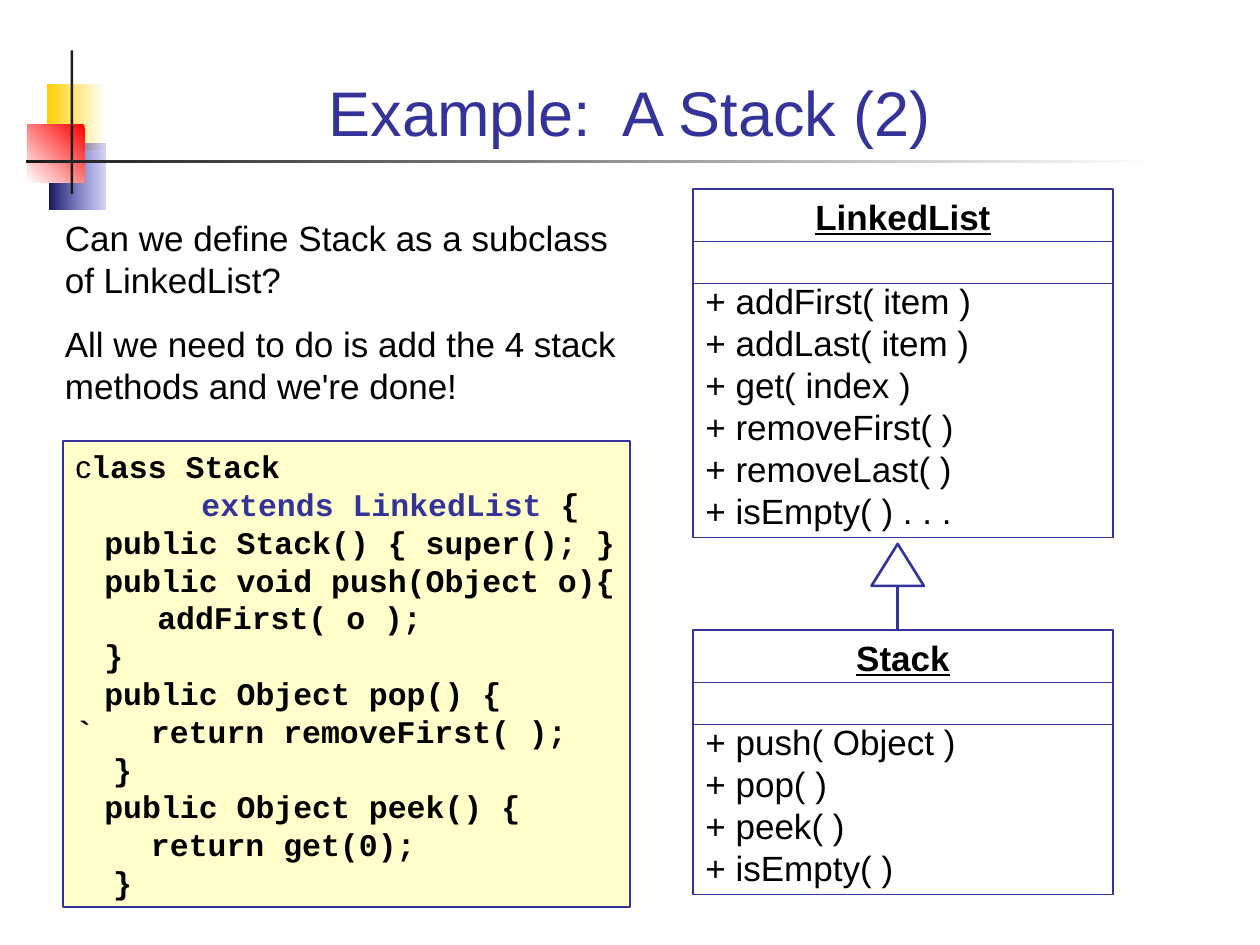
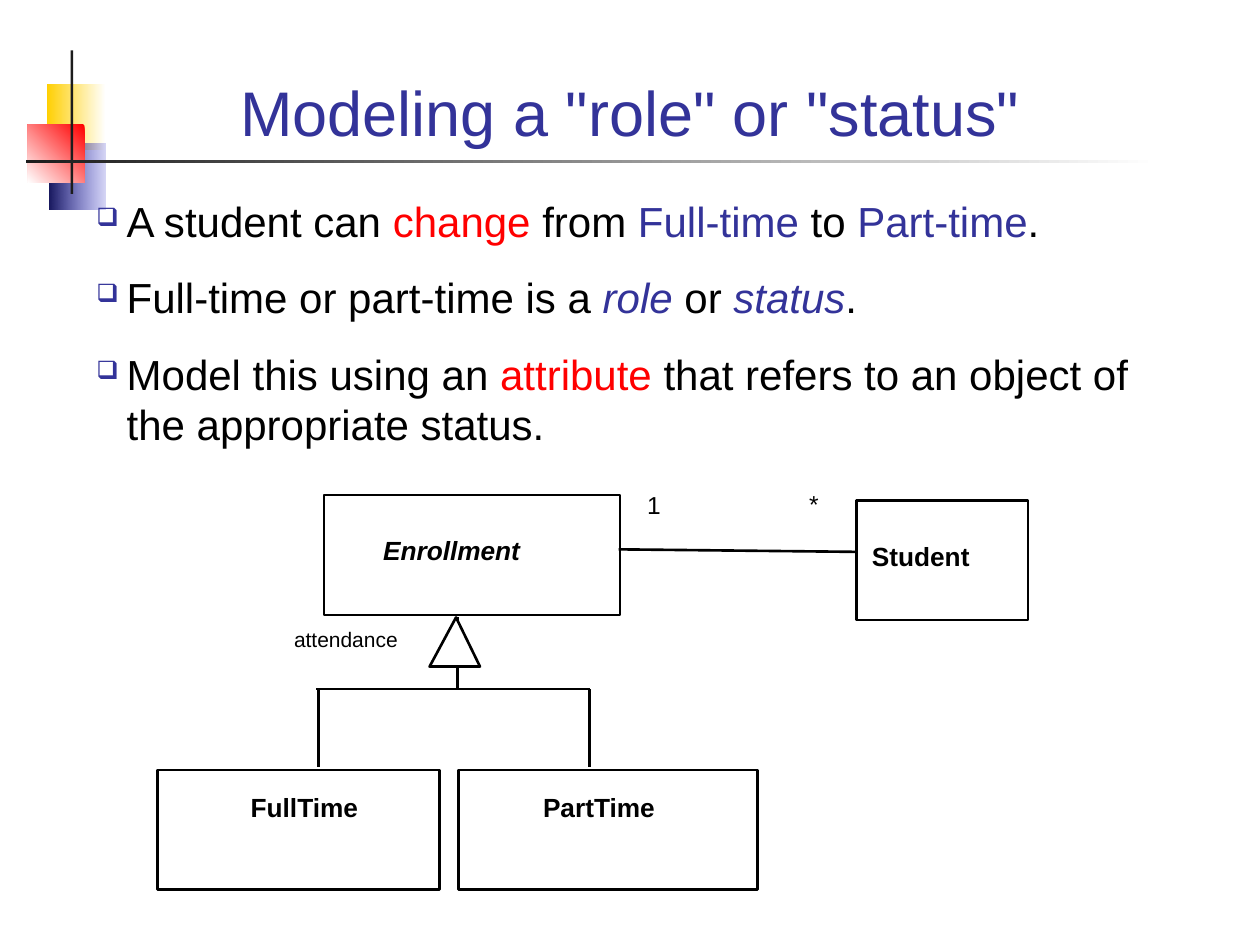
from dataclasses import dataclass
from typing import Any, Optional, Sequence

import lxml.etree
import pptx
import pptx.dml.color
import pptx.enum.shapes
import pptx.enum.text
import pptx.oxml.ns
import pptx.util

# Grid: 120 columns by 90 rows of square cells on a 10 x 7.5 inch slide
COLUMNS, ROWS = 120, 90
CELL = pptx.util.Inches(10) / COLUMNS

INDIGO, BLACK, WHITE, RED = "333399", "000000", "FFFFFF", "FF0000"
INK, GOLD, NAVY, BLUE, CREAM = "1C1C1C", "FFCF01", "17175E", "3333CC", "FFFFCC"
SANS, MONO = "Arial", "Courier New"
LEADING = 1.2

RECTANGLE = pptx.enum.shapes.MSO_SHAPE.RECTANGLE
TRIANGLE = pptx.enum.shapes.MSO_SHAPE.ISOSCELES_TRIANGLE
CENTER = pptx.enum.text.PP_ALIGN.CENTER


@dataclass(frozen=True)
class Area:
    left: float
    top: float
    width: float
    height: float


@dataclass(frozen=True)
class Span:
    text: str
    color: Optional[str] = None
    italic: Optional[bool] = None
    bold: Optional[bool] = None
    font: Optional[str] = None


@dataclass(frozen=True)
class Style:
    size: float
    font: str = SANS
    color: str = BLACK
    bold: bool = False
    italic: bool = False
    underline: bool = False
    centered: bool = False
    space_before: float = 0
    bullet: Optional[str] = None
    tabs: tuple[float, ...] = ()


@dataclass(frozen=True)
class Gradient:
    start: str
    end: str
    angle: int
    start_alpha: int = 100


@dataclass(frozen=True)
class Ornament:
    area: Area
    fill: Any


@dataclass(frozen=True)
class UmlClass:
    name: str
    top: float
    members: tuple[str, ...]


@dataclass(frozen=True)
class Entity:
    name: str
    box: Area
    label_left: float
    label_top: float
    label_width: float
    italic: bool = False


@dataclass(frozen=True)
class Segment:
    x1: float
    y1: float
    x2: float
    y2: float


TITLE = Style(36, color=INDIGO, centered=True)
BODY = Style(20, space_before=12.5)
BULLETS = Style(24, space_before=15, bullet="❑")
CODE = Style(18, MONO, bold=True, tabs=(0.23, 0.5, 1, 2))
UML_NAME = Style(20, bold=True, underline=True, centered=True)
UML_MEMBER = Style(20)

ORNAMENTS = (
    Ornament(Area(4.44, 8.04, 5.64, 6.24), Gradient(WHITE, GOLD, 180)),
    Ornament(Area(4.68, 13.68, 5.4, 6.24), Gradient(BLUE, NAVY, 180, 20)),
    Ornament(Area(2.64, 11.88, 5.4, 5.52), Gradient(RED, WHITE, 135)),
    Ornament(Area(6.72, 4.8, 0.24, 13.68), INK),
    Ornament(Area(2.52, 15.24, 107.76, 0.24), Gradient(WHITE, INK, 180)),
)


# Basic helpers
def grid(cells: float) -> pptx.util.Emu:
    return pptx.util.Emu(round(cells * CELL))


def place(area: Area) -> list[pptx.util.Emu]:
    return [grid(n) for n in (area.left, area.top, area.width, area.height)]


def rgb(value: str) -> pptx.dml.color.RGBColor:
    return pptx.dml.color.RGBColor.from_string(value)


def add_xml(parent: Any, tag: str, **attributes: str) -> Any:
    return lxml.etree.SubElement(parent, pptx.oxml.ns.qn(tag), attributes)


def paint(shape: Any, fill: Any = None, line: Optional[str] = None, weight: float = 0.75) -> None:
    if isinstance(fill, Gradient):
        shape.fill.gradient()
        shape.fill.gradient_angle = 360 - fill.angle
        for stop, color in zip(shape.fill.gradient_stops, (fill.start, fill.end)):
            stop.color.rgb = rgb(color)
        if fill.start_alpha < 100:
            first_color = next(shape._element.iter(pptx.oxml.ns.qn("a:srgbClr")))
            add_xml(first_color, "a:alpha", val=str(fill.start_alpha * 1000))
    elif fill:
        shape.fill.solid()
        shape.fill.fore_color.rgb = rgb(fill)
    else:
        shape.fill.background()
    if line:
        shape.line.color.rgb = rgb(line)
        shape.line.width = pptx.util.Pt(weight)
    else:
        shape.line.fill.background()
    shape.shadow.inherit = False


def add_shape(slide: Any, kind: Any, area: Area, fill: Any = None,
              line: Optional[str] = None, weight: float = 0.75) -> Any:
    shape = slide.shapes.add_shape(kind, *place(area))
    paint(shape, fill, line, weight)
    return shape


def add_line(slide: Any, segment: Segment, color: str, weight: float) -> None:
    ends = [grid(n) for n in (segment.x1, segment.y1, segment.x2, segment.y2)]
    connector = slide.shapes.add_connector(pptx.enum.shapes.MSO_CONNECTOR.STRAIGHT, *ends)
    connector.line.color.rgb = rgb(color)
    connector.line.width = pptx.util.Pt(weight)
    add_xml(connector._element.spPr, "a:effectLst")


# Text
def format_paragraph(paragraph: Any, style: Style, space_before: float) -> None:
    paragraph.alignment = CENTER if style.centered else pptx.enum.text.PP_ALIGN.LEFT
    properties = paragraph._p.get_or_add_pPr()
    if style.bullet:
        indent = pptx.util.Inches(0.24)
        properties.set("marL", str(indent))
        properties.set("indent", str(-indent))
        add_xml(add_xml(properties, "a:buClr"), "a:srgbClr", val=INDIGO)
        add_xml(properties, "a:buSzPct", val="60000")
        add_xml(properties, "a:buChar", char=style.bullet)
    if style.tabs:
        tab_list = add_xml(properties, "a:tabLst")
        for position in style.tabs:
            add_xml(tab_list, "a:tab", pos=str(pptx.util.Inches(position)), algn="l")
    paragraph.line_spacing = pptx.util.Pt(style.size * LEADING)
    paragraph.space_before = pptx.util.Pt(space_before)
    font = paragraph.font
    font.name, font.size = style.font, pptx.util.Pt(style.size)
    font.bold, font.italic, font.underline = style.bold, style.italic, style.underline
    font.color.rgb = rgb(style.color)


def write(frame: Any, lines: Sequence[Any], style: Style) -> None:
    """Each line is a string or a sequence of strings and spans."""
    for index, line in enumerate(lines):
        paragraph = frame.add_paragraph() if index else frame.paragraphs[0]
        format_paragraph(paragraph, style, style.space_before if index else 0)
        for part in [line] if isinstance(line, str) else line:
            span = Span(part) if isinstance(part, str) else part
            run = paragraph.add_run()
            run.text = span.text
            if span.color:
                run.font.color.rgb = rgb(span.color)
            if span.italic is not None:
                run.font.italic = span.italic
            if span.bold is not None:
                run.font.bold = span.bold
            if span.font:
                run.font.name = span.font


def set_frame(shape: Any, anchor: Any = pptx.enum.text.MSO_ANCHOR.TOP, wrap: bool = True) -> Any:
    frame = shape.text_frame
    frame.word_wrap = wrap
    frame.vertical_anchor = anchor
    return frame


def add_text(slide: Any, area: Area, lines: Sequence[Any], style: Style, **options: Any) -> None:
    write(set_frame(slide.shapes.add_textbox(*place(area)), **options), lines, style)


def add_label(slide: Any, area: Area, text: str, style: Style) -> None:
    frame = set_frame(slide.shapes.add_textbox(*place(area)), wrap=False)
    frame.margin_left = frame.margin_right = frame.margin_top = frame.margin_bottom = 0
    write(frame, [text], style)


# Shared slide frame
def add_slide(presentation: Any, title: str) -> Any:
    slide = presentation.slides.add_slide(presentation.slide_layouts[6])
    for ornament in ORNAMENTS:
        add_shape(slide, RECTANGLE, ornament.area, ornament.fill)
    add_text(slide, Area(8, 3.36, 104, 11.4), [title], TITLE,
             anchor=pptx.enum.text.MSO_ANCHOR.BOTTOM)
    return slide


# Slide 1: inheritance between two UML classes
def add_uml_class(slide: Any, uml: UmlClass) -> None:
    left, width, row = 66, 40, 4
    height = row * (len(uml.members) + 2) + 1.2
    box = add_shape(slide, RECTANGLE, Area(left, uml.top, width, height), line=INDIGO)
    frame = set_frame(box)
    write(frame, [uml.name], UML_NAME)
    for index, member in enumerate(uml.members):
        paragraph = frame.add_paragraph()
        empty_row = 0 if index else UML_MEMBER.size * LEADING
        format_paragraph(paragraph, UML_MEMBER, empty_row)
        paragraph.add_run().text = member
    for y in (uml.top + 5, uml.top + 5 + row):
        add_line(slide, Segment(left, y, left + width, y), INDIGO, 0.75)


def build_stack_slide(presentation: Any) -> None:
    slide = add_slide(presentation, "Example:  A Stack (2)")
    add_text(slide, Area(5, 20, 55, 19.3), [
        "Can we define Stack as a subclass of LinkedList?",
        "All we need to do is add the 4 stack methods and we're done!",
    ], BODY)
    add_uml_class(slide, UmlClass("LinkedList", 18, (
        "+ addFirst( item )", "+ addLast( item )", "+ get( index )",
        "+ removeFirst( )", "+ removeLast( )", "+ isEmpty( ) . . .")))
    add_uml_class(slide, UmlClass("Stack", 60, (
        "+ push( Object )", "+ pop( )", "+ peek( )", "+ isEmpty( )")))

    code_box = add_shape(slide, RECTANGLE, Area(6, 42, 54, 44.4), CREAM, INDIGO)
    write(set_frame(code_box), [
        [Span("c", bold=False, font=SANS), "lass Stack"],
        ["\t\t\t", Span("extends LinkedList", INDIGO), " {"],
        "\tpublic Stack() { super(); }",
        "\tpublic void push(Object o){",
        "\t\t addFirst( o );",
        "\t}",
        "\tpublic Object pop() {",
        "`   return removeFirst( );",
        "  }",
        "\tpublic Object peek() {",
        "    return get(0);",
        "  }",
    ], CODE)

    # Inheritance arrow
    add_line(slide, Segment(85.5, 60.1, 85.5, 55.8), INDIGO, 1.5)
    add_shape(slide, TRIANGLE, Area(83, 51.8, 5, 4), line=INDIGO, weight=1.5)


# Slide 2: enrollment status as an attribute
ENTITIES = (
    Entity("PartTime", Area(43.68, 73.32, 28.44, 11.4), 51.72, 75.36, 10.68),
    Entity("FullTime", Area(15, 73.32, 26.88, 11.4), 23.88, 75.36, 10.32),
    Entity("Student", Area(81.6, 47.64, 16.32, 11.4), 83.04, 51.48, 9.36),
    Entity("Enrollment", Area(30.84, 47.16, 28.2, 11.4), 36.48, 50.88, 13.08, True),
)
BRANCH_Y, DROP_Y = 65.64, 73.08
LINKS = (
    Segment(43.56, 58.8, 43.56, BRANCH_Y),
    Segment(30.12, BRANCH_Y, 56.16, BRANCH_Y),
    Segment(56.16, BRANCH_Y, 56.16, DROP_Y),
    Segment(30.36, BRANCH_Y, 30.36, DROP_Y),
    Segment(81.6, 52.56, 58.92, 52.32),
)


def build_status_slide(presentation: Any) -> None:
    slide = add_slide(presentation, 'Modeling a "role" or "status"')
    add_text(slide, Area(8, 18, 104, 25.2), [
        ["A student can ", Span("change", RED), " from ", Span("Full-time", INDIGO),
         " to ", Span("Part-time", INDIGO), "."],
        ["Full-time or part-time is a ", Span("role", INDIGO, True), " or ",
         Span("status", INDIGO, True), "."],
        ["Model this using an ", Span("attribute", RED),
         " that refers to an object of the appropriate status."],
    ], BULLETS)
    for link in LINKS:
        add_line(slide, link, BLACK, 1.5)
    for entity in ENTITIES:
        add_shape(slide, RECTANGLE, entity.box, line=BLACK, weight=1.5)
        add_label(slide, Area(entity.label_left, entity.label_top, entity.label_width, 3),
                  entity.name, Style(15, bold=True, italic=entity.italic))

    # Inheritance arrowhead and its label
    builder = slide.shapes.build_freeform(grid(43.44), grid(58.8))
    builder.add_line_segments([(grid(45.72), grid(63.48)), (grid(40.92), grid(63.48))], close=True)
    paint(builder.convert_to_shape(), WHITE, BLACK, 1.5)
    add_label(slide, Area(28, 59.64, 10, 2.4), "attendance", Style(12))

    # Multiplicities
    for text, left, top in (("1", 59.04, 46.08), ("*", 74.28, 45.96)):
        add_text(slide, Area(left, top, 6.48, 4.08), [text], Style(14, centered=True))


def main() -> None:
    presentation = pptx.Presentation()
    presentation.slide_width, presentation.slide_height = grid(COLUMNS), grid(ROWS)
    build_stack_slide(presentation)
    build_status_slide(presentation)
    presentation.save("out.pptx")


if __name__ == "__main__":
    main()
